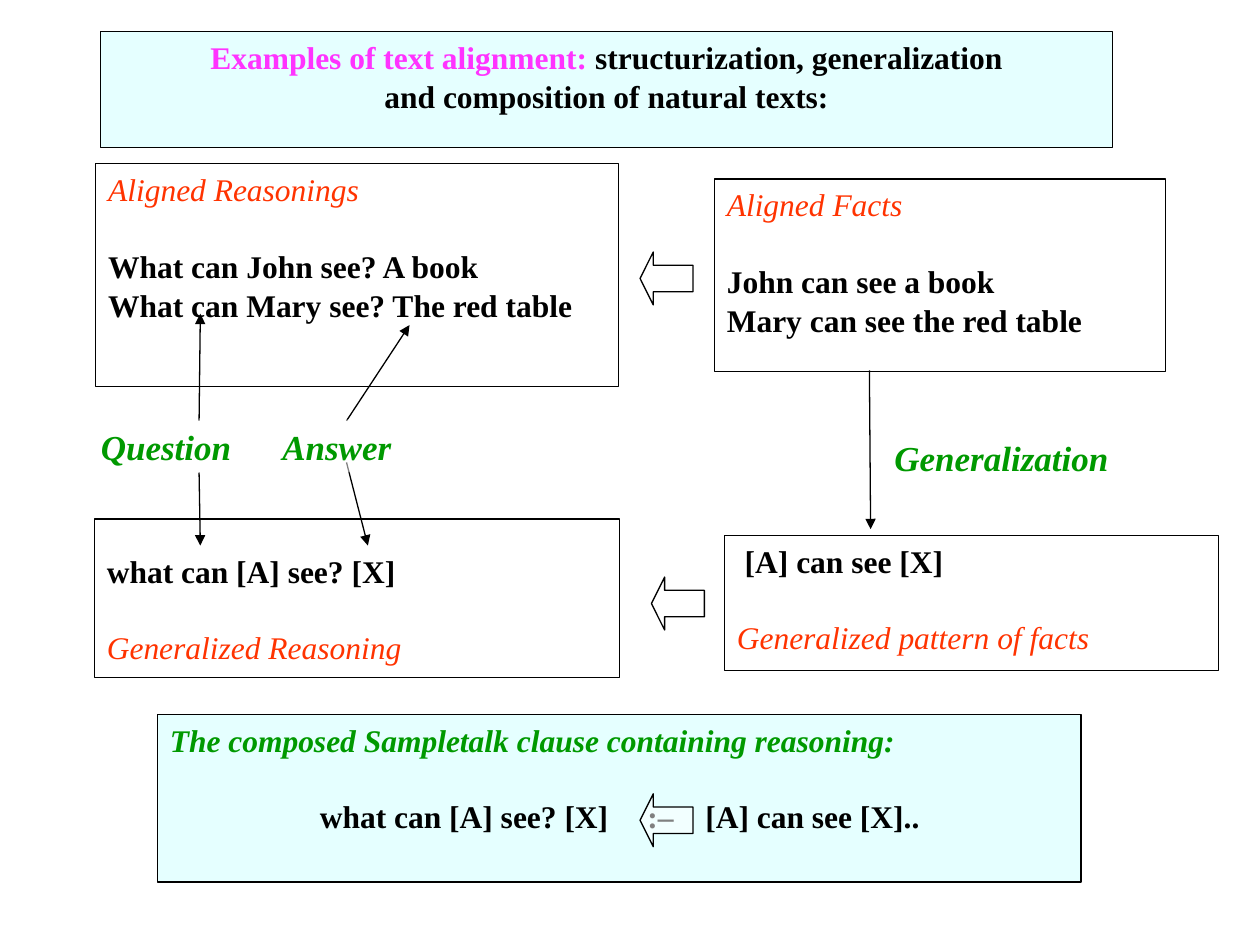
from lxml import etree
from pptx import Presentation
from pptx.dml.color import RGBColor
from pptx.enum.shapes import MSO_CONNECTOR, MSO_SHAPE
from pptx.enum.text import MSO_ANCHOR, PP_ALIGN
from pptx.oxml.ns import qn
from pptx.util import Inches, Pt

RECTANGLE = MSO_SHAPE.RECTANGLE
LEFT_ARROW = MSO_SHAPE.LEFT_ARROW
STRAIGHT = MSO_CONNECTOR.STRAIGHT
LEFT, CENTER = PP_ALIGN.LEFT, PP_ALIGN.CENTER
TOP, MIDDLE = MSO_ANCHOR.TOP, MSO_ANCHOR.MIDDLE

COLORS = {
    "white": "FFFFFF",
    "black": "000000",
    "aqua": "CCFFFF",
    "red": "FF3300",
    "green": "009900",
    "pink": "FF33FF",
}
FONT = "Times New Roman"
LINE_WIDTH = Pt(0.75)
LINE_GAP, BLOCK_GAP = 0.8, 22.2  # points before a following line / a new block
ARROW_SIZE = 0.42

# Text styles: colour name and font attributes
STYLES = {
    "caption": ("red", {"size": Pt(18), "italic": True}),
    "example": ("black", {"size": Pt(18), "bold": True}),
    "title": ("pink", {"size": Pt(18), "bold": True}),
    "clause": ("green", {"size": Pt(18), "bold": True, "italic": True}),
    "label": ("green", {"size": Pt(20), "bold": True, "italic": True}),
}


def rgb(name):
    return RGBColor.from_string(COLORS[name])


def add_outlined_shape(slide, kind, box, fill="white", outlined=True):
    """Add a shape with a half-transparent fill and an optional thin outline."""
    shape = slide.shapes.add_shape(kind, *map(Inches, box))
    shape.shadow.inherit = False
    shape.fill.solid()
    shape.fill.fore_color.rgb = rgb(fill)
    color = shape._element.spPr.find(f"{qn('a:solidFill')}/{qn('a:srgbClr')}")
    etree.SubElement(color, qn("a:alpha"), val="50000")
    if outlined:
        shape.line.color.rgb = rgb("black")
        shape.line.width = LINE_WIDTH
    else:
        shape.line.fill.background()
    return shape


def add_tab_stops(paragraph, positions):
    tab_list = etree.SubElement(paragraph._p.get_or_add_pPr(), qn("a:tabLst"))
    for position in positions:
        etree.SubElement(tab_list, qn("a:tab"), pos=str(Inches(position)), algn="l")


def add_text_box(slide, box, lines, fill="white", outlined=True, align=LEFT,
                 anchor=TOP, left=0.1, top=0.05, tabs=()):
    """Add a box; each line is (points before, [(text, style), ...])."""
    shape = add_outlined_shape(slide, RECTANGLE, box, fill, outlined)
    frame = shape.text_frame
    frame_format = {
        "word_wrap": True,
        "vertical_anchor": anchor,
        "margin_left": Inches(left),
        "margin_top": Inches(top),
        "margin_right": Inches(0.1),
        "margin_bottom": Inches(0.05),
    }
    for name, value in frame_format.items():
        setattr(frame, name, value)
    for index, (gap, runs) in enumerate(lines):
        paragraph = frame.add_paragraph() if index else frame.paragraphs[0]
        paragraph.alignment = align
        paragraph.space_before = Pt(gap)
        if tabs:
            add_tab_stops(paragraph, tabs)
        for text, style in runs:
            add_run(paragraph, text, style)


def add_run(paragraph, text, style):
    run = paragraph.add_run()
    run.text = text
    run.font.name = FONT
    color, font_format = STYLES[style]
    run.font.color.rgb = rgb(color)
    for name, value in font_format.items():
        setattr(run.font, name, value)


def add_block_arrow(slide, left, top):
    arrow = add_outlined_shape(slide, LEFT_ARROW, (left, top, ARROW_SIZE, ARROW_SIZE))
    arrow.adjustments[0] = 0.5
    arrow.adjustments[1] = 0.25


def add_pointer(slide, start, end):
    """Add a thin line with an arrowhead at its end."""
    connector = slide.shapes.add_connector(STRAIGHT, *map(Inches, start + end))
    connector.line.color.rgb = rgb("black")
    connector.line.width = LINE_WIDTH
    etree.SubElement(connector.line._get_or_add_ln(), qn("a:tailEnd"), type="triangle")
    etree.SubElement(connector._element.spPr, qn("a:effectLst"))


def main():
    presentation = Presentation()
    presentation.slide_width = Inches(10)
    presentation.slide_height = Inches(7.5)
    slide = presentation.slides.add_slide(presentation.slide_layouts[6])

    # Aligned and generalized texts
    add_text_box(slide, (0.76, 1.3, 4.15, 1.77), [
        (0, [("Aligned Reasonings", "caption")]),
        (BLOCK_GAP, [("What can John see? A book", "example")]),
        (LINE_GAP, [("What can Mary see? The red table", "example")]),
    ])
    add_text_box(slide, (0.75, 4.12, 4.17, 1.26), [
        (0, [("what can [A] see? [X]", "example")]),
        (BLOCK_GAP, [("Generalized Reasoning", "caption")]),
    ], top=0.26)
    add_text_box(slide, (5.67, 1.42, 3.58, 1.53), [
        (0, [("Aligned Facts", "caption")]),
        (BLOCK_GAP, [("John can see a book", "example")]),
        (LINE_GAP, [("Mary can see the red table", "example")]),
    ])
    add_text_box(slide, (5.75, 4.25, 3.92, 1.07), [
        (0, [(" [A] can see [X]", "example")]),
        (BLOCK_GAP, [("Generalized pattern of facts", "caption")]),
    ])

    # Composed clause
    add_text_box(slide, (1.25, 5.67, 7.33, 1.33), [
        (0, [("The composed Sampletalk clause containing reasoning:", "clause")]),
        (BLOCK_GAP, [("\twhat can [A] see? [X]\t:–\t[A] can see [X]..", "example")]),
    ], fill="aqua", tabs=(1.19, 3.79, 4.25))

    # Pointers from the question and answer labels
    for start, end in (
        ((1.58, 3.34), (1.59, 2.49)),
        ((2.75, 3.34), (3.25, 2.58)),
        ((1.58, 3.75), (1.59, 4.33)),
        ((2.75, 3.67), (2.92, 4.33)),
    ):
        add_pointer(slide, start, end)

    # Title
    add_text_box(slide, (0.8, 0.25, 8.03, 0.92), [
        (0, [("Examples of text alignment:", "title"),
             (" structurization, generalization", "example")]),
        (LINE_GAP, [("and composition of natural texts:", "example")]),
    ], fill="aqua", align=CENTER)

    # Labels
    add_text_box(slide, (7, 3.42, 2.83, 0.42), [(0, [("Generalization", "label")])],
                 outlined=False, anchor=MIDDLE)
    add_text_box(slide, (0.5, 3.33, 2.92, 0.42), [(0, [("Question\tAnswer", "label")])],
                 outlined=False, anchor=MIDDLE, left=0.3, tabs=(1.44,))

    # Generalization pointer and block arrows
    add_pointer(slide, (6.9, 2.94), (6.91, 4.2))
    for left, top in ((5.08, 2), (5.17, 4.58), (5.08, 6.3)):
        add_block_arrow(slide, left, top)

    presentation.save("out.pptx")


if __name__ == "__main__":
    main()
